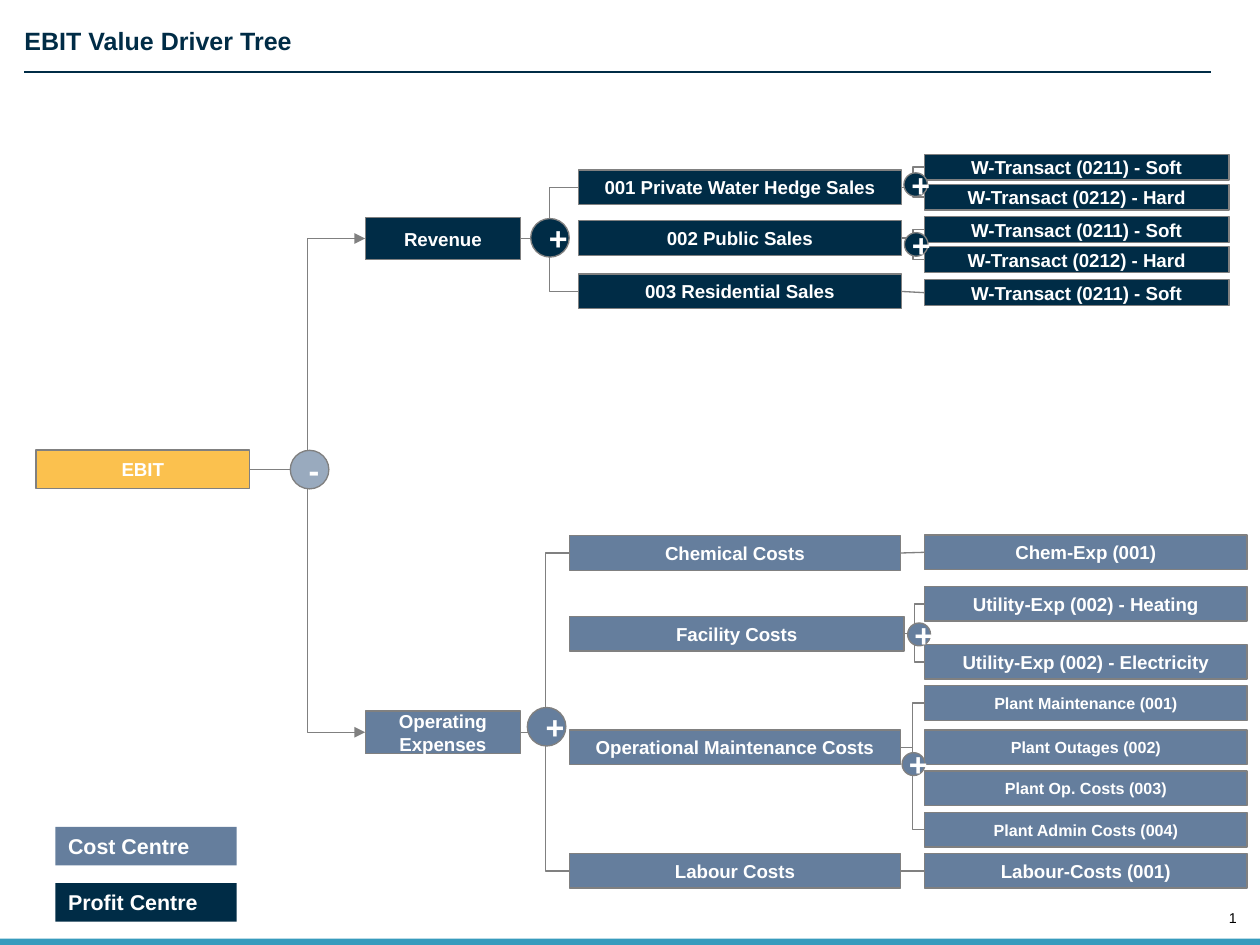
from pptx import Presentation
from pptx.dml.color import RGBColor
from pptx.enum.shapes import MSO_CONNECTOR, MSO_SHAPE
from pptx.enum.text import MSO_ANCHOR, PP_ALIGN
from pptx.oxml.ns import qn
from pptx.util import Pt
from lxml import etree

RECTANGLE, OVAL = MSO_SHAPE.RECTANGLE, MSO_SHAPE.OVAL
STRAIGHT, ELBOW = MSO_CONNECTOR.STRAIGHT, MSO_CONNECTOR.ELBOW
LEFT, CENTER, RIGHT = PP_ALIGN.LEFT, PP_ALIGN.CENTER, PP_ALIGN.RIGHT
MIDDLE = MSO_ANCHOR.MIDDLE
LEFT_SITE, RIGHT_SITE = 1, 3
COLORS = {
    name: RGBColor.from_string(value)
    for name, value in {
        "profit": "002C46", "cost": "657E9D", "ebit": "FBC14E", "minus": "99AABE",
        "line": "808080", "footer": "379BBD", "white": "FFFFFF", "black": "000000",
    }.items()
}

deck = Presentation()
deck.slide_width, deck.slide_height = Pt(705.6), Pt(529.2)
page = deck.slides.add_slide(deck.slide_layouts[6])


def add_box(kind, place, fill, text="", size=10.5, align=CENTER, outline="line"):
    box = page.shapes.add_shape(kind, *map(Pt, place))
    box.shadow.inherit = False
    box.fill.solid()
    box.fill.fore_color.rgb = COLORS[fill]
    if outline:
        box.line.color.rgb = COLORS[outline]
        box.line.width = Pt(0.75)
    else:
        box.line.fill.background()
    if text:
        box.text_frame.vertical_anchor = MIDDLE
        para = box.text_frame.paragraphs[0]
        para.alignment = align
        span = para.add_run()
        span.text = text
        span.font.name, span.font.size, span.font.bold = "Arial", Pt(size), True
        span.font.color.rgb = COLORS["white"]
    return box


def add_line(kind, ends, color):
    line = page.shapes.add_connector(kind, *ends)
    line.line.color.rgb = COLORS[color]
    line.line.width = Pt(0.75)
    etree.SubElement(line._element.spPr, qn("a:effectLst"))
    return line


labels = [
    ("EBIT Value Driver Tree", (13.7, 14.4, 688, 17.3), 14, True, "profit", LEFT),
    ("1", (672.6, 509, 20, 9.4), 8, False, "black", RIGHT),
]
for text, place, size, bold, color, align in labels:
    label = page.shapes.add_textbox(*map(Pt, place))
    frame = label.text_frame
    frame.word_wrap = True
    frame.margin_left = frame.margin_right = frame.margin_top = frame.margin_bottom = 0
    para = frame.paragraphs[0]
    para.alignment = align
    span = para.add_run()
    span.text = text
    span.font.name, span.font.size, span.font.bold = "Arial", Pt(size), bold
    span.font.color.rgb = COLORS[color]

add_line(STRAIGHT, map(Pt, (13.7, 40.3, 678.2, 40.3)), "profit")
add_box(RECTANGLE, (0, 525.6, 705.6, 3.6), "footer", outline=None)
for text, top, fill in [("Cost Centre", 463, "cost"), ("Profit Centre", 494.6, "profit")]:
    add_box(RECTANGLE, (31, top, 101.5, 21.6), fill, text, 12, LEFT, None)

# key: (left, width, height, fill, text size)
columns = {
    "root": (20.2, 119.5, 21.6, "ebit", 10.5),
    "revenue": (204.5, 87.1, 23.8, "profit", 10.5),
    "expenses": (204.5, 87.1, 23.8, "cost", 10.5),
    "sales": (324, 180.7, 19.4, "profit", 10.5),
    "costs": (319, 185.2, 19.4, "cost", 10.5),
    "transact": (517.7, 170.6, 14.4, "profit", 10.5),
    "account": (517.7, 180.7, 19.4, "cost", 10.5),
    "plant": (517.7, 180.7, 19.4, "cost", 9),
}
nodes = [
    ("root", "EBIT", 252, None),
    ("revenue", "Revenue", 121.7, "EBIT"),
    ("expenses", "Operating Expenses", 398.2, "EBIT"),
    ("sales", "001 Private Water Hedge Sales", 95.2, "Revenue"),
    ("sales", "002 Public Sales", 123.6, None),
    ("sales", "003 Residential Sales", 153.5, "Revenue"),
    ("costs", "Chemical Costs", 300, "Operating Expenses"),
    ("costs", "Facility Costs", 345.2, None),
    ("costs", "Operational Maintenance Costs", 408.8, None),
    ("costs", "Labour Costs", 478, "Operating Expenses"),
    ("transact", "W-Transact (0211) - Soft", 86.4, "001 Private Water Hedge Sales"),
    ("transact", "W-Transact (0212) - Hard", 103.2, "001 Private Water Hedge Sales"),
    ("transact", "W-Transact (0211) - Soft", 121.4, "002 Public Sales"),
    ("transact", "W-Transact (0212) - Hard", 138.2, "002 Public Sales"),
    ("transact", "W-Transact (0211) - Soft", 156.7, "003 Residential Sales"),
    ("account", "Chem-Exp (001)", 299.6, "Chemical Costs"),
    ("account", "Utility-Exp (002) - Heating", 328.5, "Facility Costs"),
    ("account", "Utility-Exp (002) - Electricity", 361, "Facility Costs"),
    ("plant", "Plant Maintenance (001)", 384, "Operational Maintenance Costs"),
    ("plant", "Plant Outages (002)", 408.8, None),
    ("plant", "Plant Op. Costs (003)", 431.8, None),
    ("plant", "Plant Admin Costs (004)", 455, "Operational Maintenance Costs"),
    ("account", "Labour-Costs (001)", 478, "Labour Costs"),
]
boxes = {}
for column, text, top, parent in nodes:
    left, width, height, fill, size = columns[column]
    if text == "Facility Costs":
        width += 2
    box = add_box(RECTANGLE, (left, top, width, height), fill, text, size)
    boxes[text] = box
    if parent:
        source = boxes[parent]
        ends = (source.left + source.width, source.top + source.height // 2,
                box.left, box.top + box.height // 2)
        kind = STRAIGHT if abs(ends[3] - ends[1]) < Pt(2) else ELBOW
        link = add_line(kind, ends, "line")
        link.begin_connect(source, RIGHT_SITE)
        link.end_connect(box, LEFT_SITE)
        if parent == "EBIT":
            etree.SubElement(link.line._get_or_add_ln(), qn("a:tailEnd"), type="triangle")

operators = [
    ("-", 162.6, 252.2, 21.6, "minus"),
    ("+", 297.2, 122.4, 21.6, "profit"),
    ("+", 295.3, 396.2, 21.6, "cost"),
    ("+", 506.2, 96.8, 13.2, "profit"),
    ("+", 506.5, 130.3, 13.2, "profit"),
    ("+", 508.3, 348.9, 12.8, "cost"),
    ("+", 505.2, 421.5, 12.8, "cost"),
]
for sign, left, top, size, fill in operators:
    add_box(OVAL, (left, top, size, size), fill, sign, 18)

deck.save("out.pptx")
